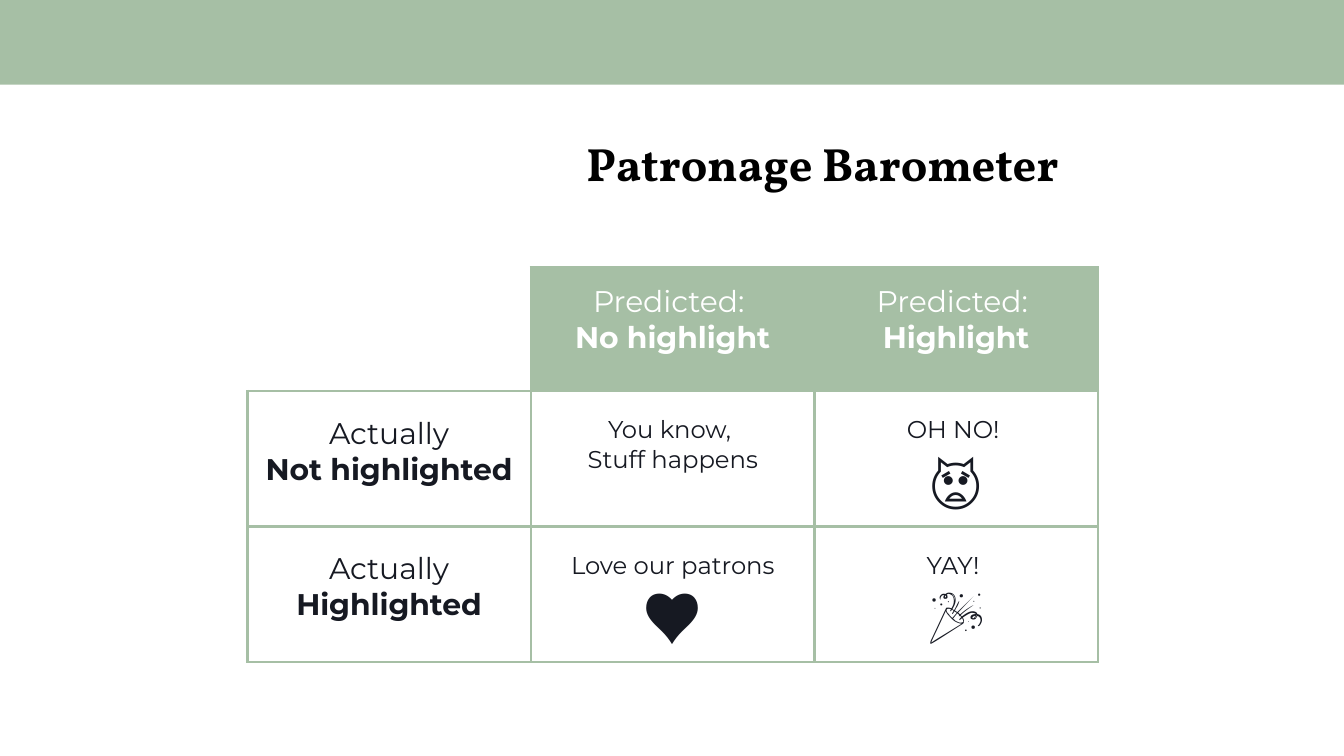
from dataclasses import dataclass

from lxml.etree import SubElement
from pptx import Presentation
from pptx.dml.color import RGBColor
from pptx.enum.shapes import MSO_SHAPE
from pptx.enum.text import MSO_ANCHOR, PP_ALIGN
from pptx.oxml.ns import qn
from pptx.util import Inches, Pt


@dataclass(frozen=True)
class Theme:
    """Colours, fonts and type sizes of the slide."""
    green: str = "A6BFA5"
    white: str = "FFFFFF"
    ink: str = "161922"
    black: str = "000000"
    body_font: str = "Montserrat"
    title_font: str = "Vollkorn"
    title: int = 25
    label: int = 16
    note: int = 13
    icon: int = 30


THEME = Theme()
LABEL = (THEME.label, False)
STRONG = (THEME.label, True)
NOTE = (THEME.note, False)
ICON = (THEME.icon, False)

ROWS = [
    [
        [],
        [[("Predicted: ", LABEL)], [("No highlight", STRONG)]],
        [[("Predicted: ", LABEL)], [("Highlight", STRONG)]],
    ],
    [
        [[("Actually", LABEL)], [("Not highlighted", STRONG)]],
        [[("You know, ", NOTE)], [("Stuff happens", NOTE)]],
        [[("OH NO! ", NOTE)], [("🙀", ICON)]],
    ],
    [
        [[("Actually ", LABEL), ("Highlighted", STRONG)]],
        [[("Love our patrons", NOTE)], [("♥", ICON)]],
        [[("YAY! ", NOTE)], [("🎉", ICON)]],
    ],
]


def style_run(r, size, bold, color, font):
    """Format one run of text."""
    r.font.size = Pt(size)
    r.font.bold = bold
    r.font.name = font
    r.font.color.rgb = RGBColor.from_string(color)


def add_band(s):
    """Draw the green band along the top edge."""
    sp = s.shapes.add_shape(MSO_SHAPE.RECTANGLE, 0, 0, Inches(10), Inches(0.63))
    sp.shadow.inherit = False
    sp.fill.solid()
    sp.fill.fore_color.rgb = RGBColor.from_string(THEME.green)
    sp.line.fill.background()


def set_title(s, text):
    """Place and format the title placeholder."""
    sp = s.shapes.title
    sp.left, sp.top = Inches(1.85), Inches(0.95)
    sp.width, sp.height = Inches(8.54), Inches(0.7)
    tf = sp.text_frame
    tf.text = text
    tf.vertical_anchor = MSO_ANCHOR.TOP
    tf.margin_left = tf.margin_right = tf.margin_top = tf.margin_bottom = Inches(0.1)
    p = tf.paragraphs[0]
    p.alignment = PP_ALIGN.CENTER
    p.line_spacing = 0.9
    style_run(p.runs[0], THEME.title, True, THEME.black, THEME.title_font)


def set_border(cell, side, color, width):
    """Add a solid border to one side (L, R, T or B) of a cell."""
    tc_pr = cell._tc.get_or_add_tcPr()
    ln = SubElement(tc_pr, qn(f"a:ln{side}"), w=str(Pt(width)))
    fill = SubElement(ln, qn("a:solidFill"))
    SubElement(fill, qn("a:srgbClr"), val=color)


def fill_cell(cell, paragraphs, color, top):
    """Write centred paragraphs of (text, style) runs into a cell."""
    cell.margin_left = cell.margin_right = cell.margin_bottom = Inches(0.1)
    cell.margin_top = Inches(top)
    tf = cell.text_frame
    for i, runs in enumerate(paragraphs):
        p = tf.add_paragraph() if i else tf.paragraphs[0]
        p.alignment = PP_ALIGN.CENTER
        for text, (size, bold) in runs:
            r = p.add_run()
            r.text = text
            style_run(r, size, bold, color, THEME.body_font)


def add_matrix(s, rows):
    """Build the table of predicted against actual highlights."""
    heights = [0.92, 0.65, 0.65]
    table = s.shapes.add_table(
        len(rows), len(rows[0]), Inches(1.84), Inches(1.99),
        Inches(6.33), Inches(sum(heights))).table
    table.first_row = table.horz_banding = False
    for column in table.columns:
        column.width = Inches(2.11)
    for i, (row, height) in enumerate(zip(rows, heights)):
        table.rows[i].height = Inches(height)
        for j, paragraphs in enumerate(row):
            cell = table.cell(i, j)
            header = i == 0 and j > 0
            for side in "LRTB":
                if i == j == 0 and side in "LT":
                    set_border(cell, side, THEME.white, 0.75)
                else:
                    set_border(cell, side, THEME.green, 1.5)
            if header:
                cell.fill.solid()
                cell.fill.fore_color.rgb = RGBColor.from_string(THEME.green)
            else:
                cell.fill.background()
            fill_cell(cell, paragraphs, THEME.white if header else THEME.ink,
                      0.12 if i == 0 else 0.18)


def main():
    """Build the slide and save it."""
    prs = Presentation()
    prs.slide_width = Inches(10)
    prs.slide_height = Inches(10 * 9 / 16)
    s = prs.slides.add_slide(prs.slide_layouts[5])
    add_band(s)
    set_title(s, "Patronage Barometer")
    add_matrix(s, ROWS)
    prs.save("out.pptx")


if __name__ == "__main__":
    main()
